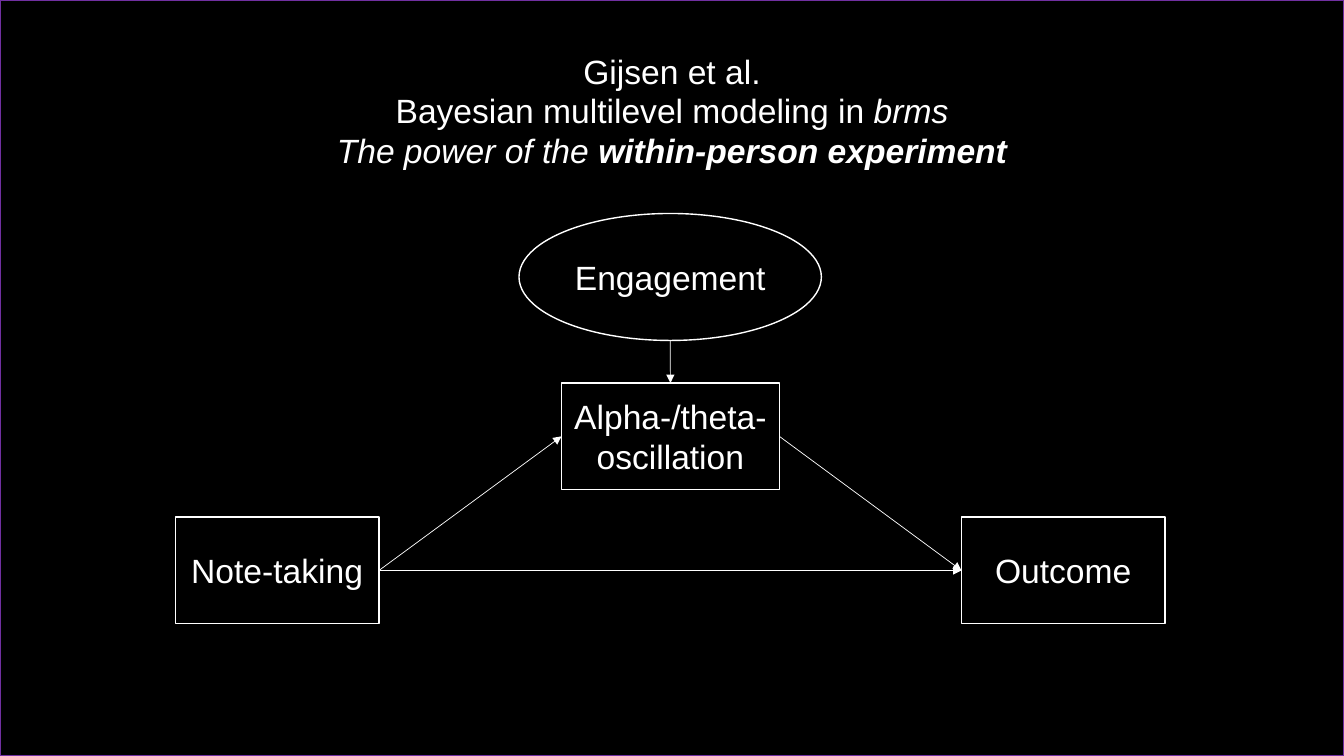
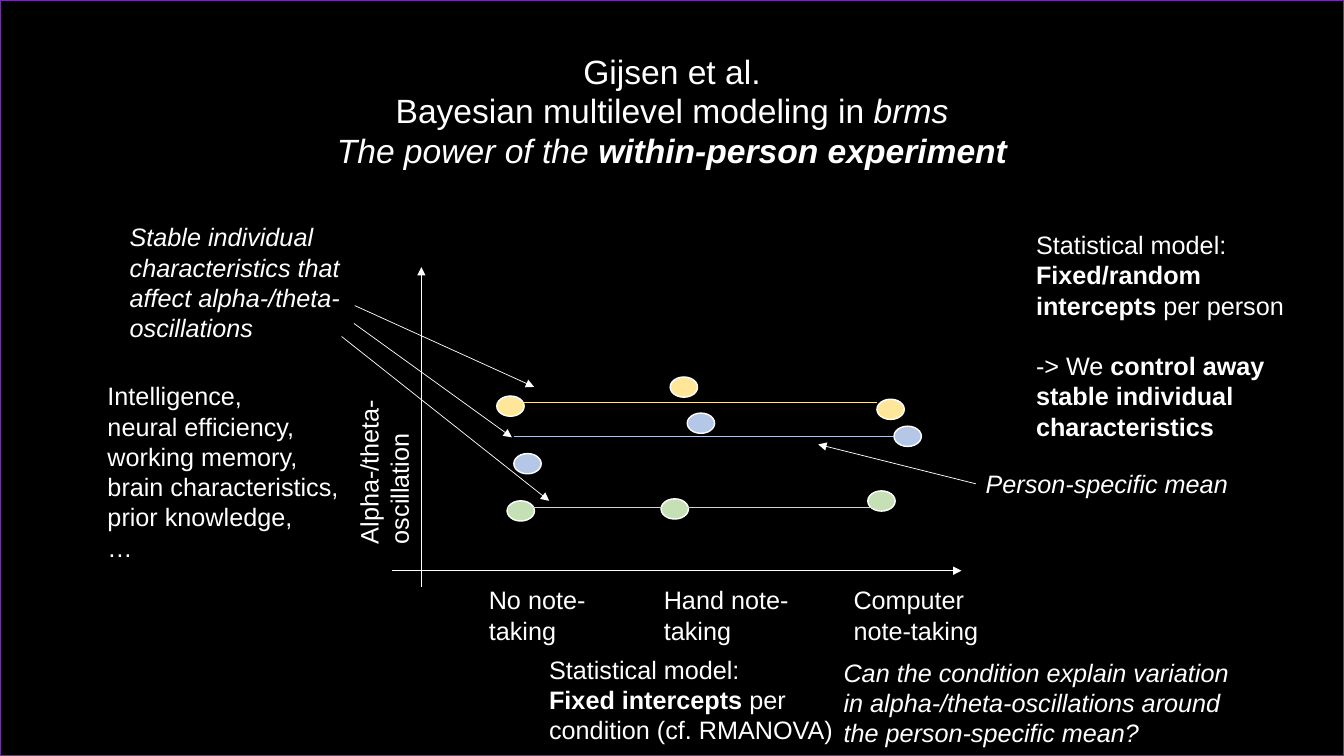
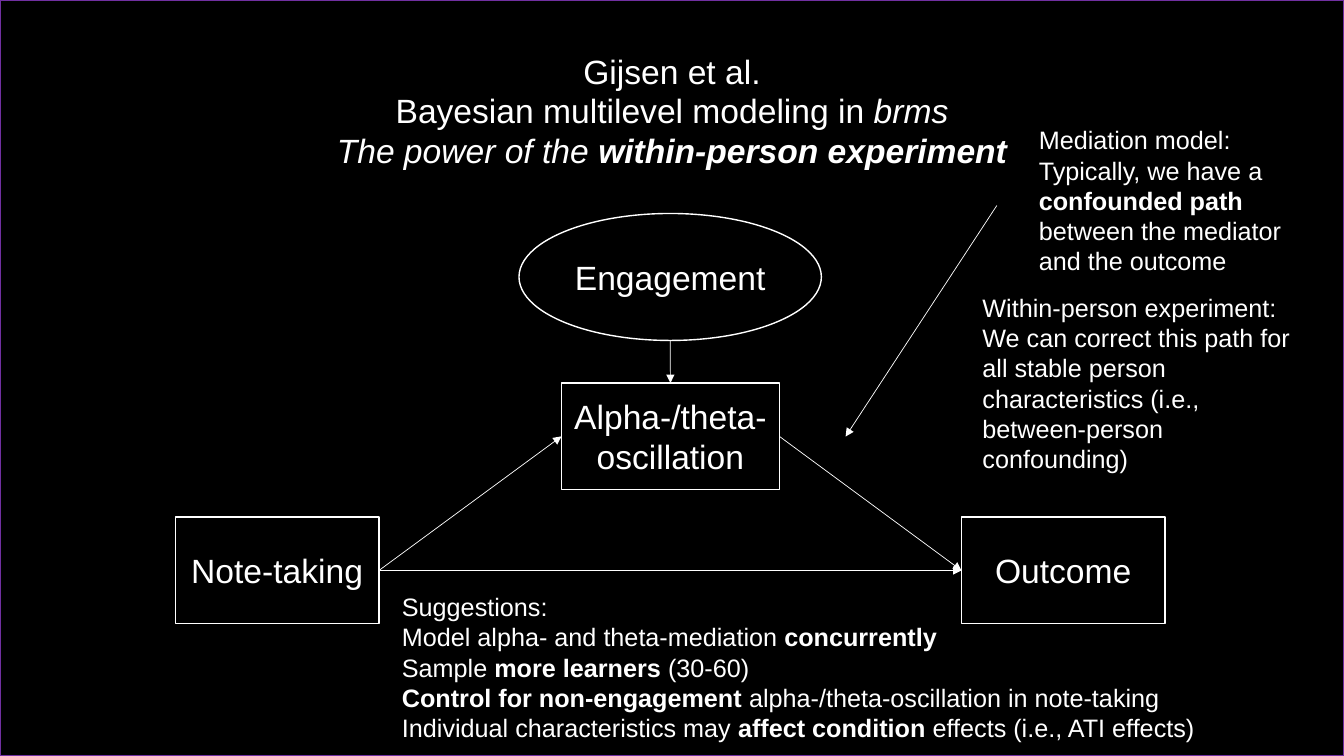
from dataclasses import dataclass
from lxml.etree import SubElement as Sub
from pptx import Presentation
from pptx.dml.color import RGBColor as RGB
from pptx.enum.shapes import MSO_CONNECTOR as Conn, MSO_SHAPE as Kind
from pptx.enum.text import MSO_ANCHOR as Anchor, MSO_AUTO_SIZE as Auto, PP_ALIGN as Align
from pptx.oxml.ns import qn
from pptx.util import Cm, Pt


@dataclass(frozen=True)
class Theme:
    font: str = "Arial"
    back: str = "000000"
    ink: str = "FFFFFF"
    frame: str = "7030A0"
    blue: str = "B4C7E7"
    gold: str = "FFE699"
    green: str = "C5E0B4"
    big: int = 24
    small: int = 18
    edge: float = 1
    thin: float = 0.5
    gap: float = 21.6


T = Theme()
WIDE, HIGH = 33.87, 19.05

HEADS = [
    ((0, 1.17, WIDE, 1.28), [[("Gijsen et al.", "")]]),
    ((0, 2.13, WIDE, 2.31), [
        [("Bayesian multilevel modeling in ", ""), ("brms", "i")],
        [("The power of the ", "i"), ("within-person experiment", "bi")],
    ]),
]

NODES = {
    "out": ("Outcome", Kind.RECTANGLE, (24.23, 13.03, 5.13, 2.69)),
    "note": ("Note-taking", Kind.RECTANGLE, (4.42, 13.03, 5.13, 2.69)),
    "wave": ("Alpha-/theta-oscillation", Kind.RECTANGLE, (14.15, 9.65, 5.49, 2.69)),
    "mood": ("Engagement", Kind.OVAL, (13.08, 5.38, 7.62, 3.2)),
}
LINKS = [("note", "wave"), ("wave", "out"), ("note", "out")]

DOT = (0.69, 0.51)
SPAN = 9.58
PEOPLE = [
    (T.blue, 11, [(12.95, 11.43), (17.32, 10.41), (22.53, 10.74)]),
    (T.gold, 10.13, [(12.52, 9.98), (16.89, 9.5), (22.1, 10.06)]),
    (T.green, 12.78, [(12.78, 12.62), (16.66, 12.57), (21.87, 12.37)]),
]
TASKS = [("No note-taking", 12.07), ("Hand note-taking", 16.48),
         ("Computer note-taking", 21.26)]
RAYS = [
    ((10.62, 14.78), (10.62, 6.73)),
    ((9.88, 14.38), (24.23, 14.38)),
    ((8.94, 7.7), (13.46, 9.75)),
    ((8.92, 8.15), (12.9, 11.02)),
    ((8.61, 8.48), (13.84, 12.62)),
    ((24.59, 12.19), (20.62, 11.2)),
]

PLOT = [
    {"at": (2.46, 9.47, 6.86, 4.88), "text": [
        [("Intelligence,", "")],
        [("neural efficiency,", "")],
        [("working memory, brain characteristics, prior knowledge,", "")],
        [("…", "")]]},
    {"at": (3.02, 5.46, 6.86, 3.33), "text": [
        [("Stable individual characteristics that affect alpha-/theta-oscillations", "i")]]},
    {"at": (25.86, 5.66, 6.86, 5.64), "gaps": {2: T.gap}, "text": [
        [("Statistical model:", "")],
        [("Fixed/random intercepts ", "b"), ("per person", "")],
        [("-> We ", ""), ("control away stable individual characteristics", "b")]]},
    {"at": (13.59, 16.36, 7.67, 2.57), "text": [
        [("Statistical model:", "")],
        [("Fixed intercepts ", "b"), ("per condition (cf. RMANOVA)", "")]]},
    {"at": (21.01, 16.43, 10.8, 2.57), "text": [
        [("Can the condition explain variation in alpha-/theta-oscillations "
          "around the person-specific mean?", "i")]]},
    {"at": (24.59, 11.68, 6.86, 1.02), "text": [[("Person-specific mean", "i")]]},
    {"at": (6.25, 9.63, 6.86, 1.8), "turn": 270, "text": [
        [("Alpha-/theta-oscillation", "")]]},
]

ADVICE = [
    {"at": (25.93, 3.02, 6.86, 4.11), "text": [
        [("Mediation model:", "")],
        [("Typically, we have a ", ""), ("confounded path ", "b"),
         ("between the mediator and the outcome", "")]]},
    {"at": (24.51, 7.24, 8.51, 4.88), "text": [
        [("Within-person experiment:", "")],
        [("We can correct this path for all stable person characteristics "
          "(i.e., between-person confounding)", "")]]},
    {"at": (9.88, 14.78, 22.12, 4.11), "text": [
        [("Suggestions:", "")],
        [("Model alpha- and theta-mediation ", ""), ("concurrently", "b")],
        [("Sample ", ""), ("more learners ", "b"), ("(30-60)", "")],
        [("Control for non-engagement", "b"),
         (" alpha-/theta-oscillation in note-taking", "")],
        [("Individual characteristics may ", ""), ("affect condition ", "b"),
         ("effects (i.e., ATI effects)", "")]]},
]
POINTER = ((25.12, 5.18), (21.31, 11))


def cms(vals):
    return [Cm(v) for v in vals]


def write(frame, text, size, align, gaps):
    frame.word_wrap = True
    for n, runs in enumerate(text):
        par = frame.add_paragraph() if n else frame.paragraphs[0]
        par.alignment = align
        if n in gaps:
            par.space_before = Pt(gaps[n])
        for words, style in runs:
            run = par.add_run()
            run.text = words
            font = run.font
            font.name, font.size = T.font, Pt(size)
            font.bold, font.italic = "b" in style, "i" in style
            font.color.rgb = RGB.from_string(T.ink)


def label(page, at, text, size=T.small, align=Align.LEFT, gaps={}, turn=0):
    box = page.shapes.add_textbox(*cms(at))
    box.rotation = turn
    write(box.text_frame, text, size, align, gaps)
    box.text_frame.auto_size = Auto.SHAPE_TO_FIT_TEXT


def draw(page, kind, at, line=T.ink, fill=None):
    shape = page.shapes.add_shape(kind, *cms(at))
    shape.shadow.inherit = False
    if fill:
        shape.fill.solid()
        shape.fill.fore_color.rgb = RGB.from_string(fill)
    else:
        shape.fill.background()
    shape.line.color.rgb = RGB.from_string(line)
    shape.line.width = Pt(T.edge)
    return shape


def stroke(page, start, end, color=T.ink, arrow=True):
    line = page.shapes.add_connector(Conn.STRAIGHT, *cms(start + end))
    line.line.color.rgb = RGB.from_string(color)
    line.line.width = Pt(T.thin)
    if arrow:
        Sub(line.line._get_or_add_ln(), qn("a:tailEnd"), type="triangle")
    Sub(line._element.spPr, qn("a:effectLst"))
    return line


def start(deck):
    page = deck.slides.add_slide(deck.slide_layouts[6])
    draw(page, Kind.RECTANGLE, (0, 0, WIDE, HIGH), T.frame)
    for at, text in HEADS:
        label(page, at, text, T.big, Align.CENTER)
    return page


def model(page):
    made = {}
    for key, (name, kind, at) in NODES.items():
        node = made[key] = draw(page, kind, at)
        write(node.text_frame, [[(name, "")]], T.big, Align.CENTER, {})
        node.text_frame.vertical_anchor = Anchor.MIDDLE
    for a, b in LINKS:
        link = stroke(page, (0, 0), (0, 0))
        link.begin_connect(made[a], 3)
        link.end_connect(made[b], 1)
    x, y, w, h = NODES["mood"][2]
    foot = (x + w / 2, y + h)
    stroke(page, foot, foot).end_connect(made["wave"], 0)


def plot(page):
    for name, x in TASKS:
        label(page, (x, 14.61, 3.86, 1.8), [[(name, "")]])
    for color, mean, dots in PEOPLE:
        for dot in dots:
            draw(page, Kind.OVAL, dot + DOT, fill=color)
        left = dots[0][0]
        stroke(page, (left, mean), (left + SPAN, mean), color, False)
    for ray in RAYS:
        stroke(page, *ray)
    for note in PLOT:
        label(page, **note)


def advise(page):
    model(page)
    for note in ADVICE:
        label(page, **note)
    stroke(page, *POINTER)


def main():
    deck = Presentation()
    deck.slide_width, deck.slide_height = Cm(WIDE), Cm(HIGH)
    back = deck.slide_master.background.fill
    back.solid()
    back.fore_color.rgb = RGB.from_string(T.back)
    for build in (model, plot, advise):
        build(start(deck))
    deck.save("out.pptx")


if __name__ == "__main__":
    main()
